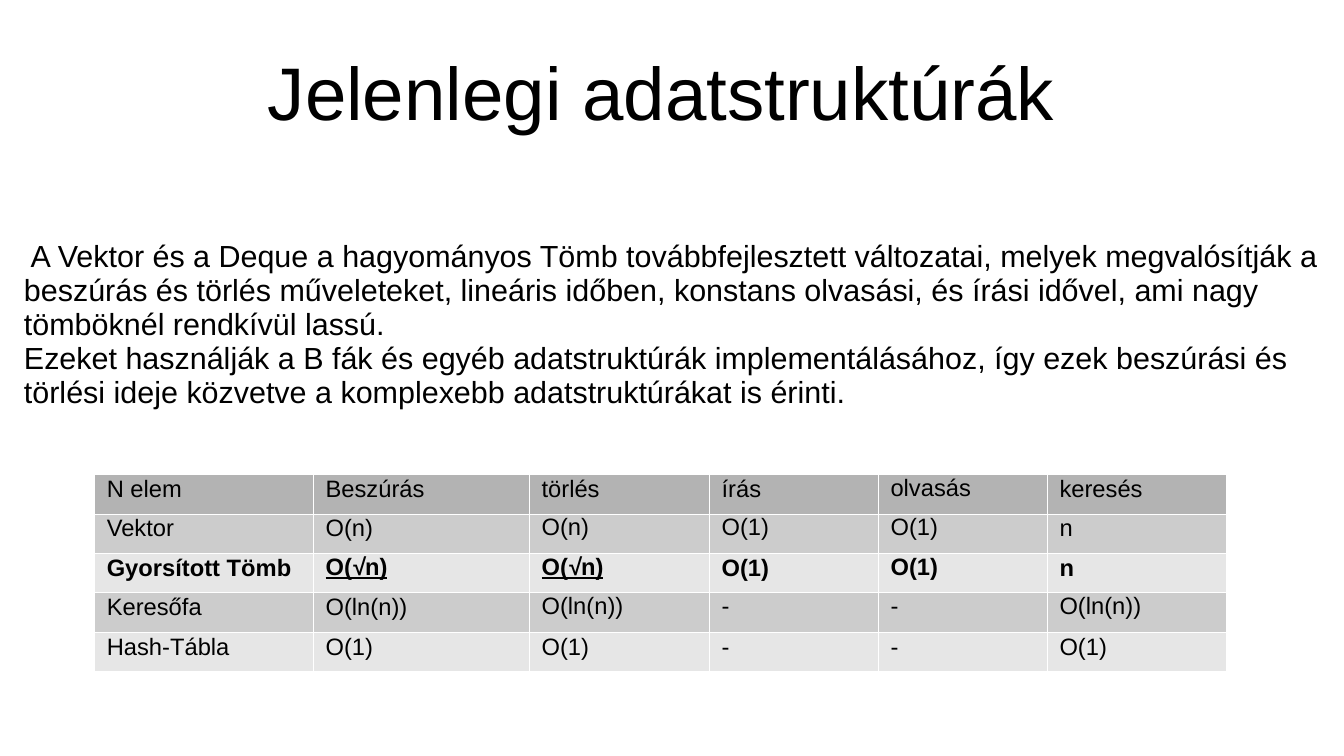
"""Build the slide comparing the running times of data structures."""
from dataclasses import dataclass

from lxml import etree
from pptx import Presentation
from pptx import util as u
from pptx.dml.color import RGBColor
from pptx.enum import text
from pptx.oxml import ns

FONT = "Arial"
BLACK = "000000"
WHITE = "FFFFFF"
COLUMN_WIDTHS = (4.56, 4.5, 3.75, 3.52, 3.52, 3.73)
ROW_HEIGHT = 0.82
TABLE_LEFT, TABLE_TOP = 1.97, 9.88
NORMAL_SPACING, TIGHT_SPACING = 0.81, 0.76


@dataclass(frozen=True)
class TextBlock:
    left: float
    top: float
    width: float
    height: float
    margins: tuple[float, float, float, float]
    size: float
    paragraphs: tuple[str, ...]
    anchor: text.MSO_ANCHOR = text.MSO_ANCHOR.TOP
    alignment: text.PP_ALIGN = text.PP_ALIGN.LEFT


@dataclass(frozen=True)
class TableRow:
    cells: tuple[str, ...]
    fill: str
    tight_columns: tuple[int, ...] = ()
    bold: bool = False


TEXT_BLOCKS = (
    TextBlock(1.4, 0.64, 25.2, 2.62, (0, 0.1, 0, 0), 44, ("Jelenlegi adatstruktúrák ",),
              text.MSO_ANCHOR.MIDDLE, text.PP_ALIGN.CENTER),
    TextBlock(0.25, 4.83, 27.74, 5.84, (0.25, 0.18, 0.25, 0.13), 18, (
        " A Vektor és a Deque a hagyományos Tömb továbbfejlesztett változatai, melyek "
        "megvalósítják a beszúrás és törlés műveleteket, lineáris időben, konstans olvasási, "
        "és írási idővel, ami nagy tömböknél rendkívül lassú.",
        "Ezeket használják a B fák és egyéb adatstruktúrák implementálásához, így ezek "
        "beszúrási és törlési ideje közvetve a komplexebb adatstruktúrákat is érinti.",
    )),
)

TABLE_ROWS = (
    TableRow(("N elem", "Beszúrás", "törlés", "írás", "olvasás", "keresés"), "B3B3B3", (4,)),
    TableRow(("Vektor", "O(n)", "O(n)", "O(1)", "O(1)", "n"), "CCCCCC", (2, 3, 4)),
    TableRow(("Gyorsított Tömb", "O(√n)", "O(√n)", "O(1)", "O(1)", "n"), "E6E6E6",
             (1, 2, 4), bold=True),
    TableRow(("Keresőfa", "O(ln(n))", "O(ln(n))", "-", "-", "O(ln(n))"), "CCCCCC",
             (2, 3, 4, 5)),
    TableRow(("Hash-Tábla", "O(1)", "O(1)", "-", "-", "O(1)"), "E6E6E6"),
)


def color(value: str) -> RGBColor:
    return RGBColor.from_string(value)


def style_paragraph(paragraph, size: float, spacing: float, bold: bool = False) -> None:
    paragraph.line_spacing = spacing
    font = paragraph.font
    font.name = FONT
    font.size = u.Pt(size)
    font.bold = bold
    font.color.rgb = color(BLACK)


def draw_text(slide, block: TextBlock) -> None:
    box = slide.shapes.add_textbox(u.Cm(block.left), u.Cm(block.top),
                                   u.Cm(block.width), u.Cm(block.height))
    frame = box.text_frame
    frame.word_wrap = True
    frame.vertical_anchor = block.anchor
    (frame.margin_left, frame.margin_top,
     frame.margin_right, frame.margin_bottom) = map(u.Cm, block.margins)
    frame.text = "\n".join(block.paragraphs)
    for paragraph in frame.paragraphs:
        paragraph.alignment = block.alignment
        style_paragraph(paragraph, block.size, 0.93)


def add_borders(cell) -> None:
    properties = cell._tc.get_or_add_tcPr()
    for side in ("lnL", "lnR", "lnT", "lnB"):
        line = etree.SubElement(properties, ns.qn(f"a:{side}"), w=str(u.Pt(0.06)))
        fill = etree.SubElement(line, ns.qn("a:solidFill"))
        etree.SubElement(fill, ns.qn("a:srgbClr"), val=WHITE)


def draw_cell(cell, content: str, row: TableRow, spacing: float) -> None:
    add_borders(cell)
    cell.fill.solid()
    cell.fill.fore_color.rgb = color(row.fill)
    paragraph = cell.text_frame.paragraphs[0]
    style_paragraph(paragraph, 14, spacing, row.bold)
    before, root, after = content.partition("√")
    if root:
        paragraph.font.underline = True
    for part in filter(None, (before, root, after)):
        run = paragraph.add_run()
        run.text = part
        if part == root:
            run.font.italic = True


def draw_table(slide) -> None:
    frame = slide.shapes.add_table(
        len(TABLE_ROWS), len(COLUMN_WIDTHS), u.Cm(TABLE_LEFT), u.Cm(TABLE_TOP),
        u.Cm(sum(COLUMN_WIDTHS)), u.Cm(ROW_HEIGHT * len(TABLE_ROWS)))
    table = frame.table
    table.first_row = table.horz_banding = False
    for column, width in zip(table.columns, COLUMN_WIDTHS):
        column.width = u.Cm(width)
    for row_index, row in enumerate(TABLE_ROWS):
        table.rows[row_index].height = u.Cm(ROW_HEIGHT)
        for column_index, content in enumerate(row.cells):
            spacing = TIGHT_SPACING if column_index in row.tight_columns else NORMAL_SPACING
            draw_cell(table.cell(row_index, column_index), content, row, spacing)


def main() -> None:
    presentation = Presentation()
    presentation.slide_width = u.Cm(28)
    presentation.slide_height = u.Cm(15.75)
    slide = presentation.slides.add_slide(presentation.slide_layouts[6])
    for block in TEXT_BLOCKS:
        draw_text(slide, block)
    draw_table(slide)
    presentation.save("out.pptx")


if __name__ == "__main__":
    main()
